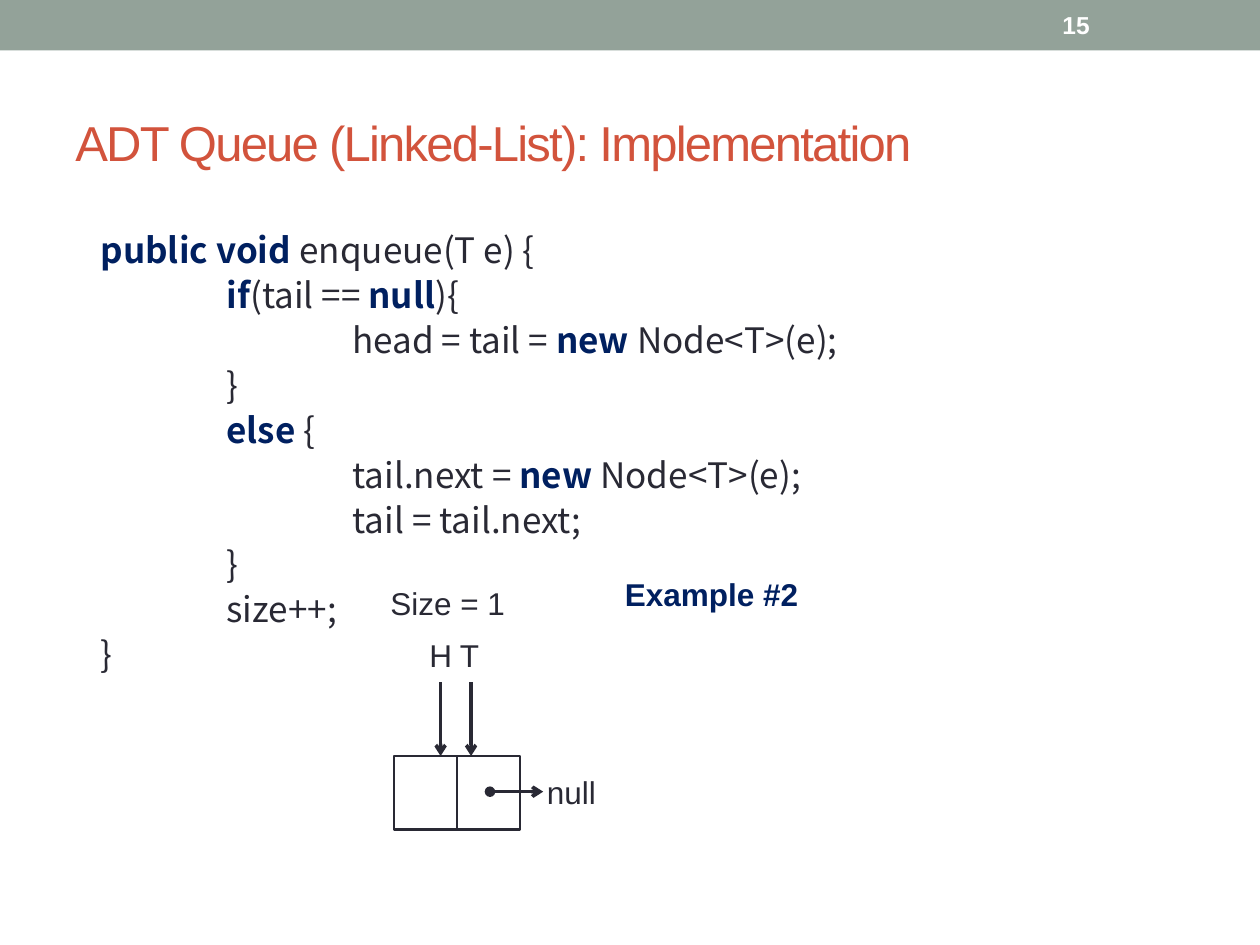
from pptx import Presentation
from pptx.dml.color import RGBColor
from pptx.enum.shapes import MSO_CONNECTOR, MSO_SHAPE
from pptx.enum.text import MSO_ANCHOR
from pptx.oxml.ns import qn
from pptx.util import Pt
from lxml.etree import SubElement

SAGE = RGBColor(0x93, 0xA2, 0x99)
RUST = RGBColor(0xD2, 0x53, 0x3C)
INK = RGBColor(0x29, 0x29, 0x34)
NAVY = RGBColor(0x00, 0x20, 0x60)
WHITE = RGBColor(0xFF, 0xFF, 0xFF)

LABEL = {"name": "Arial", "size": Pt(18), "bold": False, "color": INK}
EXAMPLE = {**LABEL, "bold": True, "color": NAVY}
TITLE = {**LABEL, "size": Pt(28), "color": RUST}
NUMBER = {**LABEL, "size": Pt(14), "bold": True, "color": WHITE}
CODE = {**LABEL, "name": "Noto Sans CJK SC", "size": Pt(20)}
KEYWORD = {**CODE, "bold": True, "color": NAVY}

ENQUEUE = [
    (0, "|public void |enqueue(T e) {"),
    (1, "|if|(tail == |null|){"),
    (2, "head = tail = |new |Node<T>(e);"),
    (1, "}"),
    (1, "|else |{"),
    (2, "tail.next = |new |Node<T>(e);"),
    (2, "tail = tail.next;"),
    (1, "}"),
    (1, "size++;"),
    (0, "}"),
]


def format_font(font, values):
    """Apply a dict of format values to a font."""
    for attribute, value in values.items():
        if attribute == "color":
            font.color.rgb = value
        else:
            setattr(font, attribute, value)


def add_frame(slide, box, wrap=True, anchor=MSO_ANCHOR.TOP):
    """Add a text box and return its text frame."""
    frame = slide.shapes.add_textbox(*map(Pt, box)).text_frame
    for attribute, value in {"word_wrap": wrap, "vertical_anchor": anchor}.items():
        setattr(frame, attribute, value)
    return frame


def add_words(frame, words, values):
    """Write one run into the first paragraph of a frame."""
    run = frame.paragraphs[0].add_run()
    run.text = words
    format_font(run.font, values)
    return run


def add_rectangle(slide, box, fill, outline=None):
    """Add a flat rectangle with an optional outline of 1.25 points."""
    rectangle = slide.shapes.add_shape(MSO_SHAPE.RECTANGLE, *map(Pt, box))
    rectangle.shadow.inherit = False
    rectangle.fill.solid()
    rectangle.fill.fore_color.rgb = fill
    if outline is None:
        rectangle.line.fill.background()
    else:
        rectangle.line.color.rgb = outline
        rectangle.line.width = Pt(1.25)


def add_line(slide, start, end, width, **ends):
    """Add a straight line with optional headEnd and tailEnd marks."""
    line = slide.shapes.add_connector(MSO_CONNECTOR.STRAIGHT, *map(Pt, start + end))
    line.line.color.rgb = INK
    line.line.width = Pt(width)
    outline = line.line._get_or_add_ln()
    for tag, mark in ends.items():
        SubElement(outline, qn(f"a:{tag}"), type=mark)
    SubElement(line._element.spPr, qn("a:effectLst"))


def add_header(slide, left, top, width, height):
    """Place the band and the slide number within it."""
    add_rectangle(slide, (left, top, width, height), SAGE)
    number_box = (left + width - 120, top + 1.4, 84, height - 2.8)
    add_words(add_frame(slide, number_box, anchor=MSO_ANCHOR.MIDDLE), "15", NUMBER)


def add_title(slide, *box):
    """Place the slide title with tightened letters."""
    frame = add_frame(slide, box, anchor=MSO_ANCHOR.MIDDLE)
    title = add_words(frame, "ADT Queue (Linked-List): Implementation", TITLE)
    title.font._element.set("spc", "-100")


def add_code(slide, *box):
    """Place the method, indenting by level and marking keywords."""
    frame = add_frame(slide, box)
    frame.margin_top = Pt(7.4)
    for row, (level, statement) in enumerate(ENQUEUE):
        line = frame.add_paragraph() if row else frame.paragraphs[0]
        spacing = {"line_spacing": 0.9, "space_before": Pt(4.05 if row else 0)}
        for attribute, value in spacing.items():
            setattr(line, attribute, value)
        line._p.get_or_add_pPr().set("marL", str(Pt(14.4 + 72 * level)))
        for index, piece in enumerate(statement.split("|")):
            if piece:
                run = line.add_run()
                run.text = piece
                format_font(run.font, KEYWORD if index % 2 else CODE)


def add_list_diagram(slide, left, top, width, height):
    """Place the one-node list with its pointers and labels."""
    node_left, node_top, node_width = left + 9.2, top + 102, 72
    node_bottom = top + height
    middle = node_left + node_width / 2
    add_rectangle(slide, (node_left, node_top, node_width, node_bottom - node_top), WHITE, INK)
    add_line(slide, (middle, node_top), (middle, node_bottom), 0.75)
    for pointer, offset in (("H", 35.8), ("T", 53.2)):
        x = left + offset
        add_line(slide, (x, node_top - 42), (x, node_top), 2, tailEnd="arrow")
        add_words(add_frame(slide, (x - 13.5, top + 30, 27, 29), wrap=False), pointer, LABEL)
    link_y = node_top + 20.4
    add_line(slide, (left + 64, link_y), (left + 94.4, link_y), 2,
             headEnd="oval", tailEnd="arrow")
    add_words(add_frame(slide, (left + 89.4, node_top + 6.2, 47.5, 29), wrap=False), "null", LABEL)
    add_words(add_frame(slide, (left, top, 87.8, 29), wrap=False), "Size = 1", LABEL)
    example_box = (left + width - 118, top - 5.2, 118, 29)
    add_words(add_frame(slide, example_box, wrap=False), "Example #2", EXAMPLE)


def main():
    """Build and save the slide."""
    deck = Presentation()
    deck.slide_width, deck.slide_height = Pt(720), Pt(540)
    slide = deck.slides.add_slide(deck.slide_layouts[6])
    add_header(slide, 0, 0, 720, 28.8)
    add_title(slide, 36, 42, 648, 78)
    add_code(slide, 36, 126, 648, 384)
    add_list_diagram(slide, 216, 330, 252, 144)
    deck.save("out.pptx")


if __name__ == "__main__":
    main()
